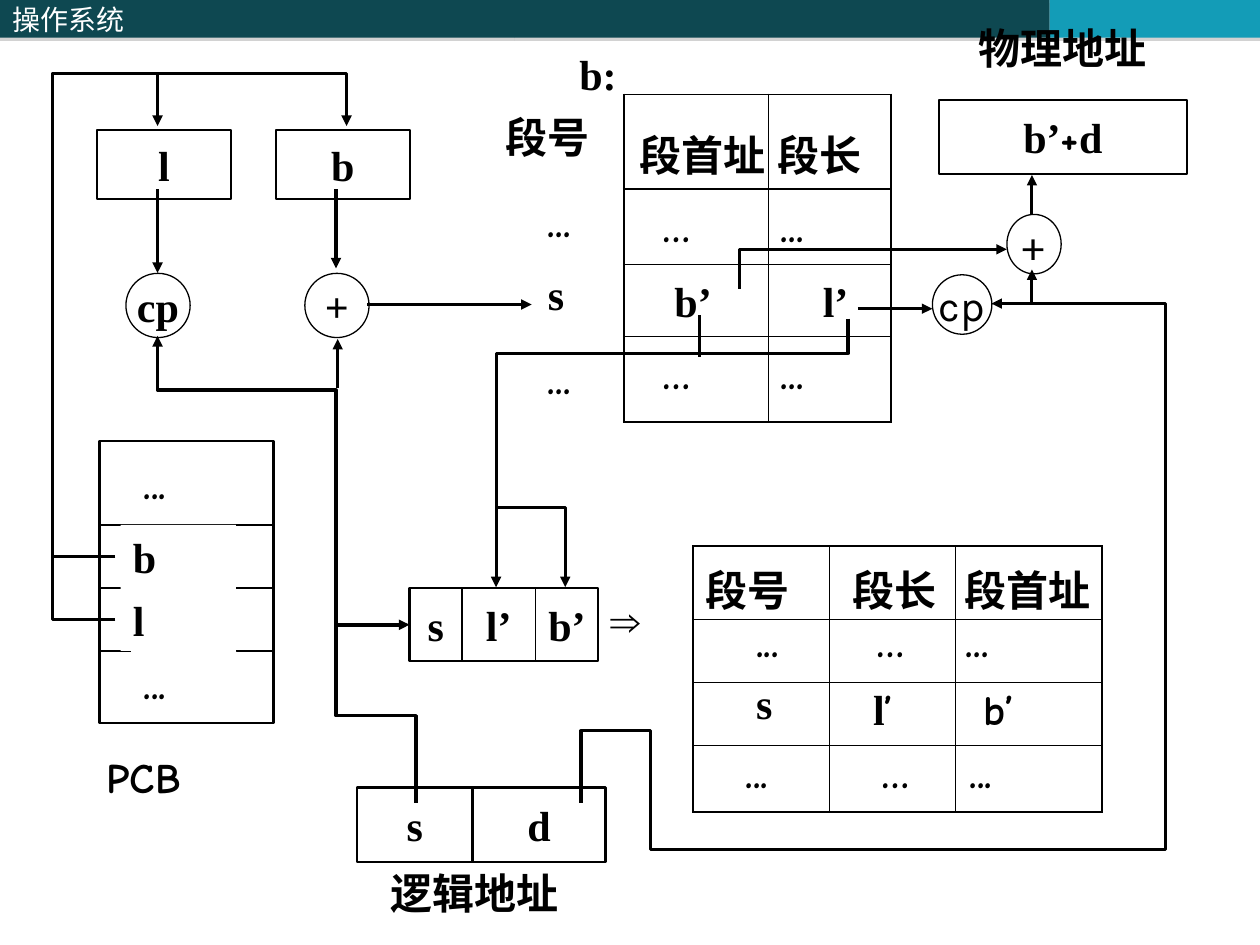
from itertools import accumulate

from lxml import etree
from pptx import Presentation
from pptx.dml.color import RGBColor
from pptx.enum import shapes, text
from pptx.oxml import parse_xml
from pptx.oxml.ns import qn
from pptx.util import Pt

BLACK = RGBColor(0x00, 0x00, 0x00)
WHITE = RGBColor(0xFF, 0xFF, 0xFF)
TEAL = RGBColor(0x0E, 0x48, 0x51)
CYAN = RGBColor(0x13, 0x9C, 0xB7)
ROMAN, COMIC, KARLA = "Times New Roman", "Comic Neue", "Karla"
HAN, ARIAL = "Noto Sans CJK SC", "Arial"
NS = "http://schemas.openxmlformats.org/drawingml/2006/main"
RECT, OVAL = shapes.MSO_SHAPE.RECTANGLE, shapes.MSO_SHAPE.OVAL
LEFT, MID = text.PP_ALIGN.LEFT, text.PP_ALIGN.CENTER


# ---- basic parts ----
def write(frame, parts, font=ROMAN, size=24, color=BLACK, bold=True, align=LEFT):
    """Parts is one string, or a list of (string, font) pairs."""
    para = frame.paragraphs[0]
    para.alignment = align
    for words, face in [(parts, font)] if isinstance(parts, str) else parts:
        run = para.add_run()
        run.text = words
        run.font.name, run.font.size, run.font.bold = face, Pt(size), bold
        run.font.color.rgb = color


def label(sl, x, y, w, h, parts, font=ROMAN, align=LEFT):
    frame = sl.shapes.add_textbox(Pt(x), Pt(y), Pt(w), Pt(h)).text_frame
    frame.word_wrap = align == LEFT
    if align == MID:
        frame.vertical_anchor = text.MSO_ANCHOR.MIDDLE
    write(frame, parts, font, align=align)


def block(sl, x, y, w, h, fill=WHITE, line=1.25, kind=RECT):
    box = sl.shapes.add_shape(kind, Pt(x), Pt(y), Pt(w), Pt(h))
    box.shadow.inherit = False
    if fill is None:
        box.fill.background()
    else:
        box.fill.solid()
        box.fill.fore_color.rgb = fill
    if line:
        box.line.color.rgb, box.line.width = BLACK, Pt(line)
    else:
        box.line.fill.background()
    return box


def node(sl, x, y, w, h, parts, font=ROMAN, bold=True, line=1.25, kind=RECT, fill=WHITE):
    """Outline with centred text."""
    frame = block(sl, x, y, w, h, fill, line, kind).text_frame
    frame.word_wrap = False
    frame.vertical_anchor = text.MSO_ANCHOR.MIDDLE
    write(frame, parts, font, bold=bold, align=MID)


def arrow(part):
    etree.SubElement(part.line._get_or_add_ln(), qn("a:tailEnd"), type="triangle")


def link(sl, x1, y1, x2, y2, width=0.75, head=False):
    line = sl.shapes.add_connector(
        shapes.MSO_CONNECTOR.STRAIGHT, Pt(x1), Pt(y1), Pt(x2), Pt(y2))
    line.line.color.rgb, line.line.width = BLACK, Pt(width)
    if head:
        arrow(line)
    etree.SubElement(line._element.spPr, qn("a:effectLst"))
    return line


def wire(sl, points, width):
    """Bent line with an arrowhead at its last point."""
    first, *rest = [(Pt(x), Pt(y)) for x, y in points]
    pen = sl.shapes.build_freeform(*first)
    pen.add_line_segments(rest, close=False)
    path = pen.convert_to_shape()
    path.fill.background()
    path.line.color.rgb, path.line.width = BLACK, Pt(width)
    arrow(path)
    path.shadow.inherit = False


def grid(sl, x, y, cols, rows, cells):
    """Table; each cell is (parts, font, left inset, top inset)."""
    table = sl.shapes.add_table(len(rows), len(cols), Pt(x), Pt(y),
                                Pt(sum(cols)), Pt(sum(rows))).table
    table.first_row = table.horz_banding = False
    for col, wide in zip(table.columns, cols):
        col.width = Pt(wide)
    for row, high in zip(table.rows, rows):
        row.height = Pt(high)
    for r, items in enumerate(cells):
        for c, (parts, font, left, top) in enumerate(items):
            cell = table.cell(r, c)
            cell.margin_left, cell.margin_top = Pt(left), Pt(top)
            cell.margin_right = cell.margin_bottom = 0
            cell.fill.solid()
            cell.fill.fore_color.rgb = WHITE
            write(cell.text_frame, parts, font)
            edges = {"L": c == 0, "R": c == len(cols) - 1,
                     "T": r == 0, "B": r == len(rows) - 1}
            for i, (side, outer) in enumerate(edges.items()):
                wide = Pt(1.25 if outer else 0.75)
                cell._tc.get_or_add_tcPr().insert(i, parse_xml(
                    f'<a:ln{side} xmlns:a="{NS}" w="{wide}"><a:solidFill>'
                    f'<a:srgbClr val="{BLACK}"/></a:solidFill></a:ln{side}>'))


def strip(sl, x, y, h, widths, names, line):
    """One box split into labelled fields."""
    box = block(sl, x, y, sum(widths), h)
    for i, (end, wide, name) in enumerate(zip(accumulate(widths), widths, names)):
        if i:
            link(sl, x + end - wide, y, x + end - wide, y + h, line)
        label(sl, x + end - wide, y, wide, h, name, align=MID)
    return box


# ---- regions ----
def banner(sl, x, y, h):
    left = x
    for wide, fill, name in ((293.76, TEAL, "操作系统"), (306, TEAL, ""), (120.24, CYAN, "")):
        bar = block(sl, left, y, wide, h, fill, 0)
        bar._element.spPr.find(qn("a:effectLst")).append(parse_xml(
            f'<a:outerShdw xmlns:a="{NS}" dist="{Pt(1.8)}" dir="5400000">'
            '<a:srgbClr val="808080"><a:alpha val="35000"/></a:srgbClr></a:outerShdw>'))
        if name:
            bar.text_frame.vertical_anchor = text.MSO_ANCHOR.MIDDLE
            write(bar.text_frame, name, HAN, 16, WHITE, False)
        left += wide


def pcb(sl, x, y, w, h):
    block(sl, x, y, w, h)
    for drop in (48, 84, 120):
        link(sl, x, y + drop, x + w, y + drop)
    for dx, dy, wide, name, font in ((18, 6, 60, "...", COMIC), (12, 48, 66, "b", ROMAN),
                                     (12, 84, 66, "l", ROMAN), (18, 120, 60, "...", COMIC)):
        write(block(sl, x + dx, y + dy, wide, 36, WHITE, 0).text_frame, name, font)
    label(sl, x - 3, y + 174, 72, 36, "PCB", COMIC)


def control(sl, x, y):
    """Length and base registers with their operators."""
    for dx, name, sign in ((0, "l", "cp"), (102.24, "b", "+")):
        node(sl, x + dx, y, 76.5, 39.6, name)
        node(sl, x + dx + 16.5, y + 82, 36.7, 36.7, sign, line=0.75, kind=OVAL)


def segment(sl, x, y):
    """Segment table with its row numbers."""
    dots = [("…", COMIC, 22, 9), ("...", COMIC, 7, 9)]
    grid(sl, x, y, (82.8, 69.8), (54, 43.2, 41, 49), [
        [("段首址", ROMAN, 9, 16), ("段长", ROMAN, 5, 16)], dots,
        [("b’", ROMAN, 29, 9), ("l’", ROMAN, 31, 9)], dots])
    label(sl, x - 32.4, y - 30, 40, 36, "b:")
    label(sl, x - 74.4, y + 6, 78, 36, "段号")
    for drop, name, font in ((54, "...", COMIC), (96, "s", ROMAN), (144, "...", COMIC)):
        label(sl, x - 50.4, y + drop, 54, 36, name, font)


def lookup(sl, x, y):
    """Fast lookup table."""
    grid(sl, x, y, (78, 72, 84), (42, 36, 36, 38), [
        [("段号", ROMAN, 7, 7), ("段长", ROMAN, 13, 7), ("段首址", ROMAN, 5, 7)],
        [("...", COMIC, 36, 0), ("…", COMIC, 27, 0), ("...", COMIC, 6, 0)],
        [("s", ROMAN, 36, 0), ([("l", ROMAN), ("’", COMIC)], ROMAN, 25, 3),
         ("b’", COMIC, 16, 3)],
        [("...", COMIC, 30, 3), ("…", COMIC, 30, 3), ("...", COMIC, 8, 3)]])


def entry(sl, x, y):
    """Fast lookup entry, fed from the segment number."""
    box = strip(sl, x, y, 42, (30, 42, 36), ("s", "l’", "b’"), 0.75)
    feed = link(sl, x - 42, y + 21, x, y + 21, 2, True)
    feed.end_connect(box, 1)
    label(sl, x + 108, y, 34, 36, "⇒", ARIAL)


def logical(sl, x, y):
    strip(sl, x, y, 42.5, (66, 76), ("s", "d"), 1.25)
    label(sl, x + 12, y + 42, 120, 36, "逻辑地址")


def physical(sl, x, y):
    node(sl, x, y, 142, 42.5, [("b’", ROMAN), ("+", COMIC), ("d", ROMAN)])
    label(sl, x + 15.6, y - 47.5, 120, 36, "物理地址")
    # Length check and address adder
    node(sl, x - 3.6, y + 100, 34, 34, "cp", KARLA, False, 0.75, OVAL, None)
    node(sl, x + 39, y + 65.5, 31, 34, "+", KARLA, False, 0.75, OVAL, None)


def wiring(sl, x, y):
    bent = (
        (2, (66, 318), (30, 318), (30, 42), (198, 42), (198, 72)),
        (2, (66, 354), (30, 354), (30, 42), (90, 42), (90, 72)),
        (2, (237.6, 458.6), (237.6, 409), (192, 409), (192, 223), (90, 223), (90, 192)),
        (1.75, (484.6, 182), (484.6, 202), (283.5, 202), (283.5, 335.5)),
        (1.75, (283.5, 290), (323, 290), (323, 335.5)),
        (1.75, (422.6, 165), (422.6, 142.5), (575.3, 142.5)),
        (1.75, (332, 458.6), (332, 417.6), (371.5, 417.6), (371.5, 485.3),
         (666, 485.3), (666, 173.5), (566.6, 173.5)))
    for width, *points in bent:
        wire(sl, [(x + px, y + py) for px, py in points], width)
    straight = (
        (399.6, 180, 399.6, 204, 2, False), (90, 108, 90, 156, 2, True),
        (192, 108, 192, 153.4, 2, True), (210, 174, 303.8, 174, 2, True),
        (193, 222, 193, 193.7, 1.75, True), (490.3, 176.4, 532.8, 176.4, 1.75, True),
        (589.7, 122.4, 589.7, 100, 1.75, True), (589.7, 173.5, 589.7, 154, 1.75, True))
    for x1, y1, x2, y2, width, head in straight:
        link(sl, x + x1, y + y1, x + x2, y + y2, width, head)


def main():
    deck = Presentation()
    deck.slide_width, deck.slide_height = Pt(720), Pt(540)
    sl = deck.slides.add_slide(deck.slide_layouts[6])
    banner(sl, 0, 0, 21.6)
    lookup(sl, 396, 312)
    pcb(sl, 56.9, 252, 99.4, 161.3)
    control(sl, 55.44, 74.2)
    segment(sl, 356.4, 54)
    physical(sl, 536.4, 57)
    logical(sl, 204, 450)
    entry(sl, 234, 336)
    wiring(sl, 0, 0)
    deck.save("out.pptx")


if __name__ == "__main__":
    main()
